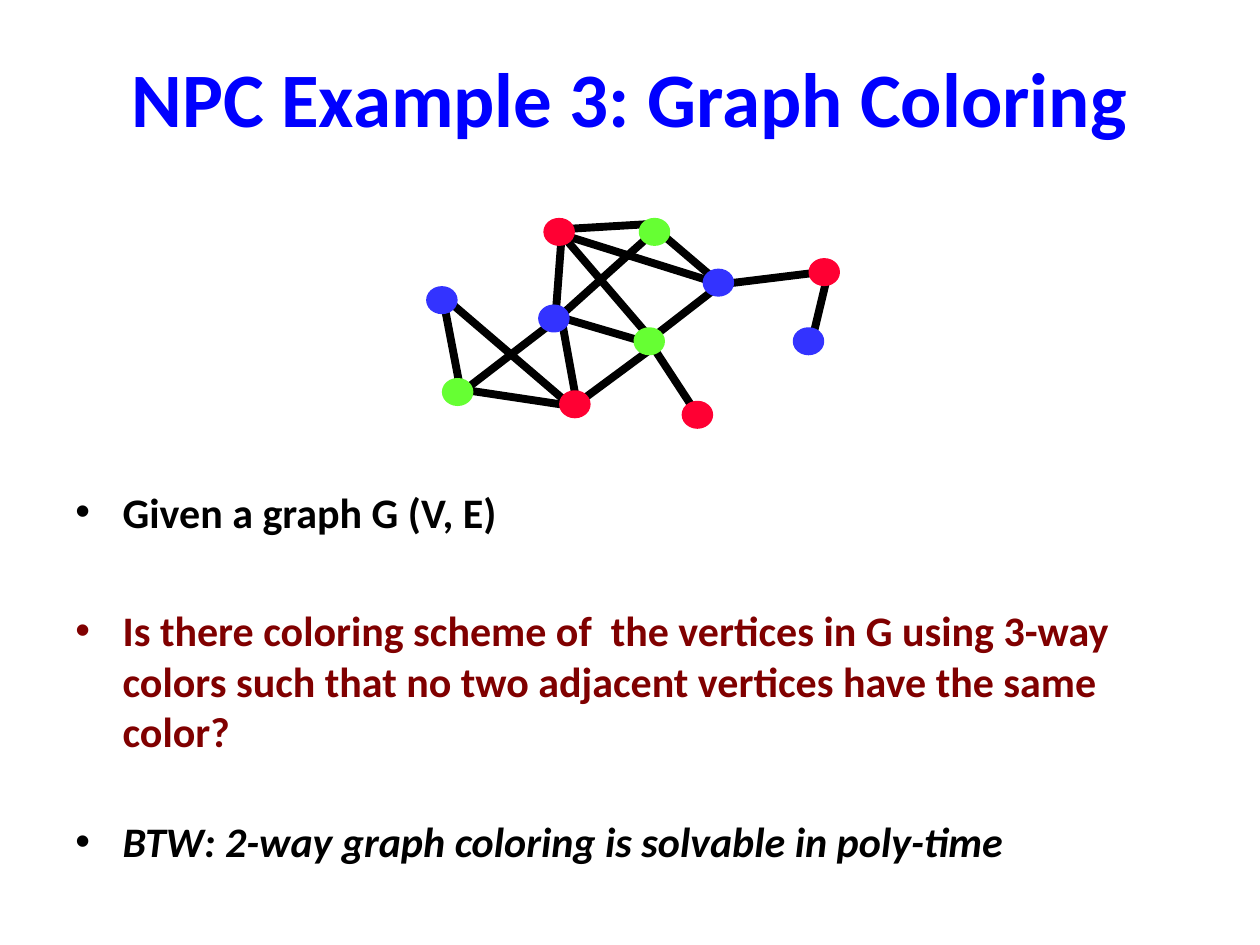
"""Build the graph coloring slide."""
from typing import NamedTuple

import lxml.etree
import pptx
import pptx.dml.color
import pptx.enum.shapes
import pptx.enum.text
import pptx.oxml.ns
import pptx.util

Pt = pptx.util.Pt
qn = pptx.oxml.ns.qn
HUES = {"title": "0000FF", "black": "000000", "maroon": "800000",
        "red": "FF0033", "blue": "3333FF", "green": "66FF33"}
FONT = "Calibri"


class Edge(NamedTuple):
    x1: float
    y1: float
    x2: float
    y2: float


class Node(NamedTuple):
    left: float
    top: float
    hue: str


class Point(NamedTuple):
    text: str
    hue: str
    gap: float
    slant: bool = False


EDGES = [
    Edge(254, 175, 263.5, 224.5), Edge(263.5, 224.5, 317.5, 183),
    Edge(321, 134, 317.5, 180.5), Edge(321, 183, 330, 232.5),
    Edge(372, 196.5, 317.5, 180.5), Edge(376, 196.5, 330, 230.5),
    Edge(378.5, 134, 409, 160), Edge(372, 196.5, 399.5, 238.5),
    Edge(473, 157, 463.5, 196.5), Edge(473, 155, 412, 162.5),
    Edge(372, 128, 321, 131), Edge(372, 134, 317.5, 183),
    Edge(321, 134, 372, 193.5), Edge(412, 162.5, 372, 193.5),
    Edge(412, 162.5, 321, 134), Edge(254, 170, 327, 232.5),
    Edge(263.5, 222.5, 330, 232.5),
]
NODES = [
    Node(312, 126, "red"), Node(245, 165, "blue"), Node(363.5, 188.5, "green"),
    Node(391, 230.5, "red"), Node(403, 155, "blue"), Node(454.5, 188.5, "blue"),
    Node(463.5, 149, "red"), Node(254, 217.5, "green"), Node(309, 175.5, "blue"),
    Node(321, 224.5, "red"), Node(366.5, 126, "green"),
]
POINTS = [
    Point("Given a graph G (V, E)", "black", 4.8),
    Point("Is there coloring scheme of  the vertices in G using 3-way colors "
          "such that no two adjacent vertices have the same color?", "maroon", 38.9),
    Point("BTW: 2-way graph coloring is solvable in poly-time", "black", 34.1, True),
]


def shade(hue: str) -> pptx.dml.color.RGBColor:
    """Return the named colour."""
    return pptx.dml.color.RGBColor.from_string(HUES[hue])


def style(para, size: float, hue: str, slant: bool = False) -> None:
    """Format every run of a paragraph."""
    for run in para.runs:
        font = run.font
        font.name, font.size, font.bold = FONT, Pt(size), True
        font.color.rgb = shade(hue)
        if slant:
            font.italic = True


def add_box(slide, top: float, height: float):
    """Add a wrapping text box as wide as the body and return its frame."""
    frame = slide.shapes.add_textbox(Pt(36), Pt(top), Pt(648), Pt(height)).text_frame
    frame.word_wrap = True
    return frame


def add_title(slide) -> None:
    """Add the centred title."""
    frame = add_box(slide, 21.6, 67.7)
    frame.vertical_anchor = pptx.enum.text.MSO_ANCHOR.MIDDLE
    frame.text = "NPC Example 3: Graph Coloring"
    para = frame.paragraphs[0]
    para.alignment = pptx.enum.text.PP_ALIGN.CENTER
    style(para, 44, "title")


def add_points(slide, points: list[Point]) -> None:
    """Add the bulleted text."""
    frame = add_box(slide, 274.3, 208)
    frame.text = "\n".join(point.text for point in points)
    for para, point in zip(frame.paragraphs, points):
        para.space_before = Pt(point.gap)
        style(para, 24, point.hue, point.slant)
        props = para._p.get_or_add_pPr()
        props.set("marL", str(Pt(27)))
        props.set("indent", str(-Pt(27)))
        tint = lxml.etree.SubElement(props, qn("a:buClr"))
        lxml.etree.SubElement(tint, qn("a:srgbClr"), val=HUES[point.hue])
        lxml.etree.SubElement(props, qn("a:buFont"), typeface="Arial")
        lxml.etree.SubElement(props, qn("a:buChar"), char="•")


def add_edge(group, edge: Edge) -> None:
    """Draw one edge of the graph."""
    line = group.shapes.add_connector(
        pptx.enum.shapes.MSO_CONNECTOR.STRAIGHT, *map(Pt, edge))
    line.line.width = Pt(4.5)
    line.line.color.rgb = shade("black")
    lxml.etree.SubElement(line._element.spPr, qn("a:effectLst"))


def add_node(group, node: Node) -> None:
    """Draw one coloured vertex."""
    oval = group.shapes.add_shape(
        pptx.enum.shapes.MSO_SHAPE.OVAL, Pt(node.left), Pt(node.top), Pt(15), Pt(13))
    oval.shadow.inherit = False
    oval.fill.solid()
    oval.fill.fore_color.rgb = oval.line.color.rgb = shade(node.hue)
    oval.line.width = Pt(3)


def main() -> None:
    """Build and save the slide."""
    deck = pptx.Presentation()
    deck.slide_width, deck.slide_height = Pt(720), Pt(540)
    slide = deck.slides.add_slide(deck.slide_layouts[6])
    add_title(slide)
    add_points(slide, POINTS)
    graph = slide.shapes.add_group_shape()
    for edge in EDGES:
        add_edge(graph, edge)
    for node in NODES:
        add_node(graph, node)
    deck.save("out.pptx")


if __name__ == "__main__":
    main()
